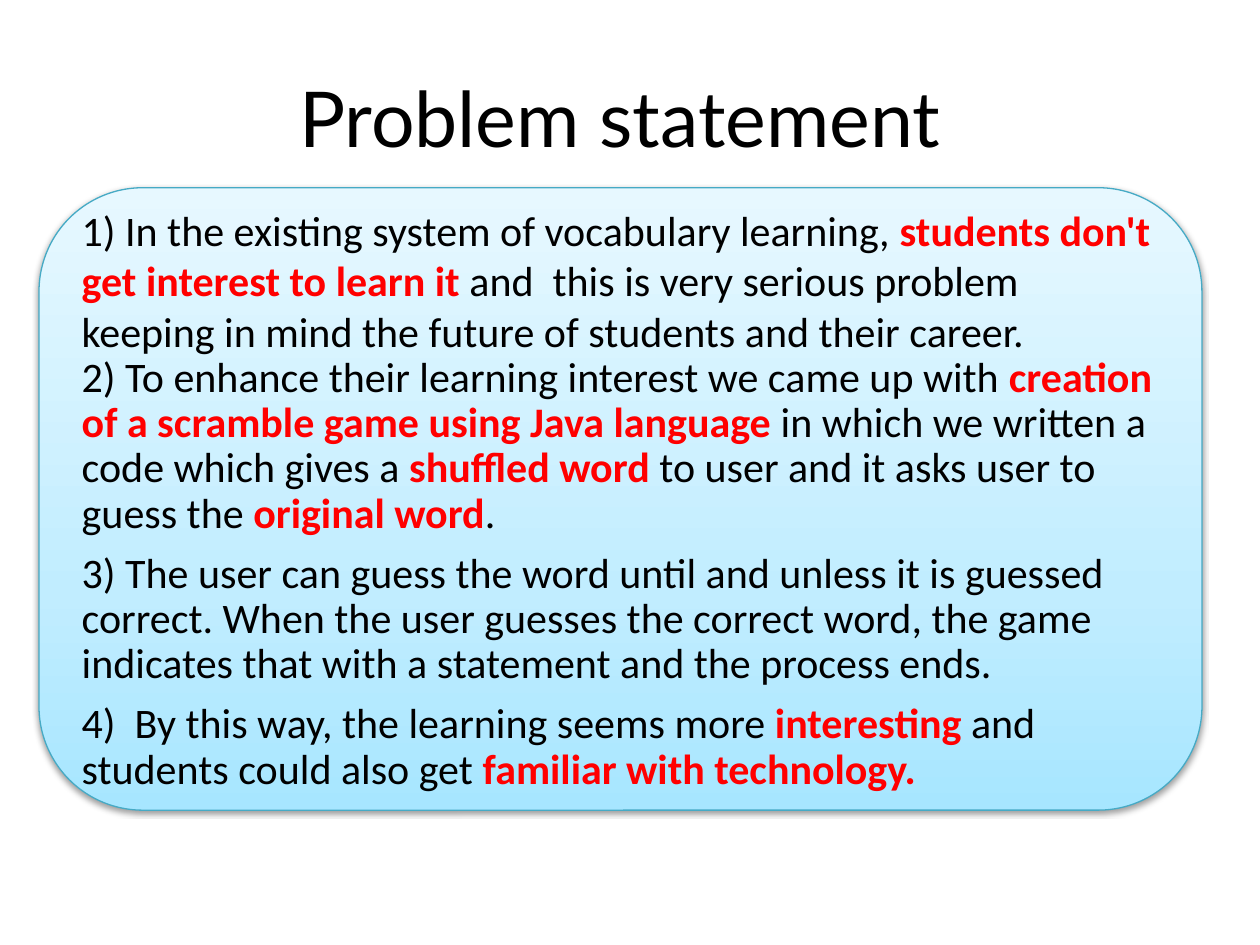
from dataclasses import dataclass

from pptx import Presentation
from pptx.dml.color import RGBColor
from pptx.enum.shapes import MSO_SHAPE
from pptx.enum.text import MSO_ANCHOR, PP_ALIGN
from pptx.oxml import parse_xml
from pptx.oxml.ns import nsdecls
from pptx.util import Inches, Pt


@dataclass(frozen=True)
class Theme:
    """Fonts, sizes and colours of the slide."""
    title_font: str = "Lato"
    body_font: str = "Calibri"
    title_size: Pt = Pt(44)
    body_size: Pt = Pt(24)
    text: RGBColor = RGBColor.from_string("000000")
    emphasis: RGBColor = RGBColor.from_string("FF0000")
    outline: RGBColor = RGBColor.from_string("46AAC5")
    gradient: tuple = ((0, "A7E6FF"), (35, "C1EDFF"), (100, "E7F8FF"))


THEME = Theme()

# Each statement: line spacing, space after in points, (wording, emphasised) pairs.
STATEMENTS = (
    (1.0, 0, (
        ("1) In the existing system of vocabulary learning, ", False),
        ("students don't get interest to learn it ", True),
        ("and  this is very serious problem keeping in mind the future of "
         "students and their career.", False))),
    (0.9, 8.4, (
        ("2) To enhance their learning interest we came up with ", False),
        ("creation of a scramble game using Java language ", True),
        ("in which we written a code which gives a ", False),
        ("shuffled word ", True),
        ("to user and it asks user to guess the ", False),
        ("original word", True),
        (".", False))),
    (0.9, 8.4, (
        ("3) The user can guess the word until and unless it is guessed correct. "
         "When the user guesses the correct word, the game indicates that with a "
         "statement and the process ends.", False),)),
    (0.9, 8.4, (
        ("4)  By this way, the learning seems more", False),
        (" interesting ", True),
        ("and students could also get ", False),
        ("familiar with technology.", True))),
)


def set_title(slide, wording):
    """Place and format the slide title."""
    title = slide.shapes.title
    title.left, title.top = Inches(0.5), Inches(0.3)
    title.width, title.height = Inches(9), Inches(1.25)
    title.text_frame.text = wording
    title.text_frame.vertical_anchor = MSO_ANCHOR.MIDDLE
    heading = title.text_frame.paragraphs[0]
    heading.alignment = PP_ALIGN.CENTER
    heading.font.name = THEME.title_font
    heading.font.size = THEME.title_size
    heading.font.color.rgb = THEME.text


def add_panel(shapes, left, top, width, height):
    """Add the rounded panel with its gradient and soft shadow."""
    panel = shapes.add_shape(MSO_SHAPE.ROUNDED_RECTANGLE, left, top, width, height)
    panel.line.color.rgb = THEME.outline
    panel.line.width = Pt(0.75)
    panel.shadow.inherit = False
    panel.fill.gradient()
    properties = panel.element.spPr
    stops = "".join(
        f'<a:gs pos="{percent * 1000}"><a:srgbClr val="{color}"/></a:gs>'
        for percent, color in THEME.gradient)
    properties.replace(properties.find("{*}gradFill"), parse_xml(
        f'<a:gradFill {nsdecls("a")} rotWithShape="1"><a:gsLst>{stops}</a:gsLst>'
        '<a:lin ang="16200000" scaled="0"/></a:gradFill>'))
    properties.find("{*}effectLst").append(parse_xml(
        f'<a:outerShdw {nsdecls("a")} blurRad="{Pt(3.1)}" dist="{Pt(1.6)}" '
        'dir="5400000" rotWithShape="0"><a:srgbClr val="000000">'
        '<a:alpha val="38000"/></a:srgbClr></a:outerShdw>'))


def add_statements(shapes, left, top, width, height):
    """Add the numbered statements with their emphasised phrases."""
    frame = shapes.add_textbox(left, top, width, height).text_frame
    frame.word_wrap = True
    frame.vertical_anchor = MSO_ANCHOR.MIDDLE
    frame.margin_left = frame.margin_right = Inches(0.1)
    frame.margin_top = frame.margin_bottom = Inches(0.1)
    for index, (line_spacing, space_after, phrases) in enumerate(STATEMENTS):
        statement = frame.add_paragraph() if index else frame.paragraphs[0]
        statement.line_spacing = line_spacing
        statement.space_after = Pt(space_after)
        statement.font.name = THEME.body_font
        statement.font.size = THEME.body_size
        for wording, emphasised in phrases:
            phrase = statement.add_run()
            phrase.text = wording
            phrase.font.bold = emphasised
            phrase.font.color.rgb = THEME.emphasis if emphasised else THEME.text


def main():
    """Build and save the problem statement slide."""
    presentation = Presentation()
    presentation.slide_width, presentation.slide_height = Inches(10), Inches(7.5)
    slide = presentation.slides.add_slide(presentation.slide_layouts[5])
    set_title(slide, "Problem statement ")
    problem = slide.shapes.add_group_shape()
    add_panel(problem.shapes, Inches(0.31), Inches(1.49), Inches(9.23), Inches(4.94))
    add_statements(problem.shapes, Inches(0.55), Inches(1.73), Inches(8.75), Inches(4.46))
    presentation.save("out.pptx")


if __name__ == "__main__":
    main()
